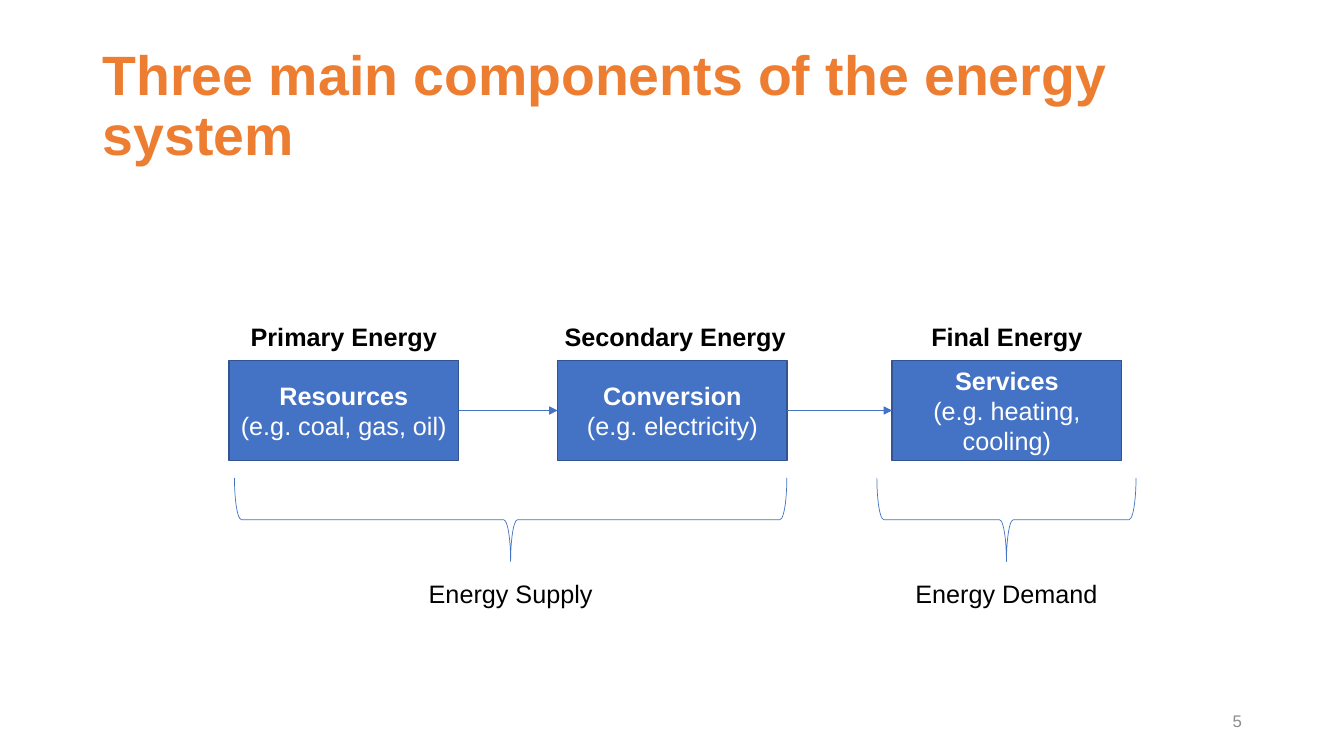
from pptx import Presentation
from pptx.dml.color import RGBColor
from pptx.enum.shapes import MSO_CONNECTOR, MSO_SHAPE
from pptx.enum.text import MSO_ANCHOR, PP_ALIGN
from pptx.oxml.ns import qn
from pptx.util import Cm, Pt
from lxml.etree import SubElement

COLORS = {
    "title": "ED7D31",
    "page": "8C8C8C",
    "box": "4472C4",
    "edge": "325491",
    "text": "000000",
    "light": "FFFFFF",
}

# Left edge, label, label shift, label width, box lines
STAGES = [
    (5.77, "Primary Energy", 0, 5.79, ("Resources", "(e.g. coal, gas, oil)")),
    (14.05, "Secondary Energy", -0.21, 6.35, ("Conversion", "(e.g. electricity)")),
    (22.48, "Final Energy", 0, 5.79, ("Services", "(e.g. heating, cooling)")),
]
# Left edge, width, caption
GROUPS = [(5.91, 13.92, "Energy Supply"), (22.1, 6.53, "Energy Demand")]
STAGE_W, STAGE_H = 5.79, 2.51


def color(name):
    return RGBColor.from_string(COLORS[name])


def style(para, size, tint, bold=False, align=PP_ALIGN.CENTER):
    para.alignment = align
    font = para.font
    font.name, font.size, font.bold = "Arial", Pt(size), bold
    font.color.rgb = color(tint)


def add_text(slide, box, text, size, tint, bold=False,
             align=PP_ALIGN.CENTER, anchor=MSO_ANCHOR.TOP):
    frame = slide.shapes.add_textbox(*map(Cm, box)).text_frame
    frame.word_wrap = True
    frame.vertical_anchor = anchor
    para = frame.paragraphs[0]
    para.text = text
    style(para, size, tint, bold, align)
    return para


def add_title(slide, box):
    para = add_text(slide, box, "Three main components of the energy system",
                    39.6, "title", True, PP_ALIGN.LEFT, MSO_ANCHOR.MIDDLE)
    para.line_spacing = 0.9


def add_stage(slide, left, top, label, shift, width, lines):
    # Label above the box
    add_text(slide, (left + shift, top - 1.11, width, 1.02), label, 18, "text", True)

    # Box with a bold heading and an example
    rect = slide.shapes.add_shape(
        MSO_SHAPE.RECTANGLE, *map(Cm, (left, top, STAGE_W, STAGE_H)))
    rect.shadow.inherit = False
    rect.fill.solid()
    rect.fill.fore_color.rgb = color("box")
    rect.line.color.rgb = color("edge")
    rect.line.width = Pt(1)
    frame = rect.text_frame
    frame.word_wrap = True
    frame.vertical_anchor = MSO_ANCHOR.MIDDLE
    frame.text = "\n".join(lines)
    for num, para in enumerate(frame.paragraphs):
        style(para, 18, "light", bold=num == 0)
    return rect


def add_arrow(slide, start, end):
    # Joins the right side of one box to the left side of the next
    arrow = slide.shapes.add_connector(MSO_CONNECTOR.STRAIGHT, 0, 0, 0, 0)
    arrow.begin_connect(start, 3)
    arrow.end_connect(end, 1)
    arrow.line.color.rgb = color("box")
    arrow.line.width = Pt(0.5)
    props = arrow.element.spPr
    SubElement(props.find(qn("a:ln")), qn("a:tailEnd"), type="triangle")
    SubElement(props, qn("a:effectLst"))


def add_group(slide, left, top, width, text):
    # Brace turned to point down, so its width and height swap
    deep = 2.11
    mid = left + width / 2
    brace = slide.shapes.add_shape(
        MSO_SHAPE.LEFT_BRACE,
        *map(Cm, (mid - deep / 2, top + deep / 2 - width / 2, deep, width)))
    brace.rotation = 270
    brace.shadow.inherit = False
    brace.fill.background()
    brace.line.color.rgb = color("box")
    brace.line.width = Pt(0.5)

    # Caption below the tip
    wide = 7.21
    add_text(slide, (mid - wide / 2, top + deep + 0.31, wide, 1.02), text, 18, "text")


def add_flow(slide, top):
    boxes = [add_stage(slide, left, top, *rest) for left, *rest in STAGES]
    for start, end in zip(boxes, boxes[1:]):
        add_arrow(slide, start, end)
    for left, width, text in GROUPS:
        add_group(slide, left, top + 2.95, width, text)


def main():
    deck = Presentation()
    deck.slide_width, deck.slide_height = Cm(33.87), Cm(19.05)
    slide = deck.slides.add_slide(deck.slide_layouts[6])
    add_title(slide, (2.34, 1.02, 29.21, 3.38))
    add_flow(slide, 9.09)
    # Page number
    add_text(slide, (23.93, 17.65, 7.62, 1.02), "5", 12, "page",
             align=PP_ALIGN.RIGHT, anchor=MSO_ANCHOR.MIDDLE)
    deck.save("out.pptx")


if __name__ == "__main__":
    main()
